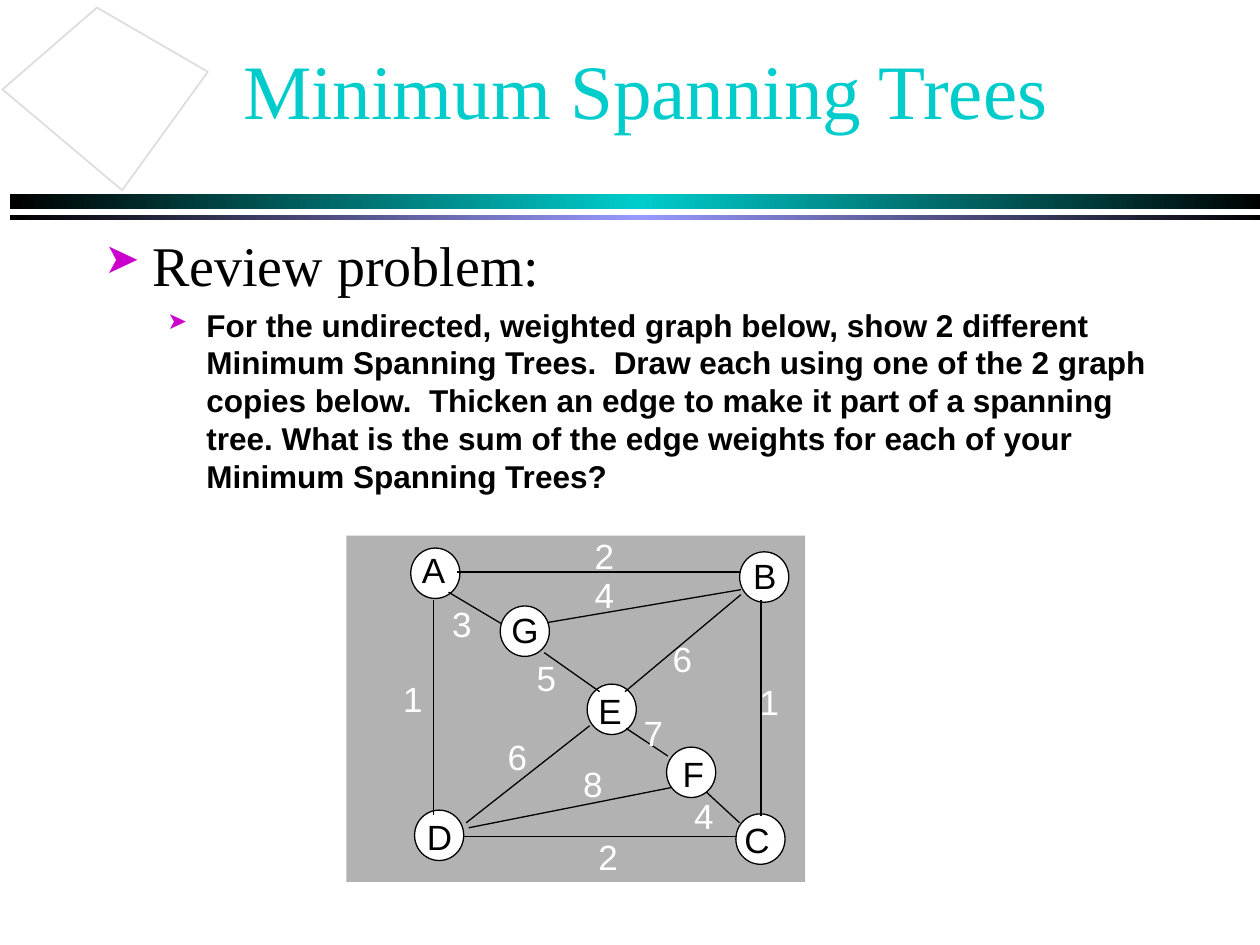
from copy import deepcopy

from lxml import etree
from pptx import Presentation
from pptx.dml.color import RGBColor
from pptx.enum.shapes import MSO_CONNECTOR, MSO_SHAPE
from pptx.enum.text import MSO_ANCHOR, PP_ALIGN
from pptx.oxml.ns import qn
from pptx.util import Inches, Pt

RECT = MSO_SHAPE.RECTANGLE
OVAL = MSO_SHAPE.OVAL
LINE = MSO_CONNECTOR.STRAIGHT
MIDDLE = MSO_ANCHOR.MIDDLE
LEFT = PP_ALIGN.LEFT

SERIF = "Times New Roman"
SANS = "Arial"
BLACK, WHITE, TEAL = "000000", "FFFFFF", "00CCCC"

BARS = [(1.54, 0.12, TEAL), (1.71, 0.04, "9999FF")]
KITE = [(0.97, 1.51), (0.02, 0.71), (0.77, 0.06), (1.65, 0.57)]
TASK = (
    "For the undirected, weighted graph below, show 2 different Minimum "
    "Spanning Trees.  Draw each using one of the 2 graph copies below.  "
    "Thicken an edge to make it part of a spanning tree. What is the sum "
    "of the edge weights for each of your Minimum Spanning Trees?"
)
NODES = [
    ("A", (3.26, 4.35), (3.25, 4.3)),
    ("B", (5.87, 4.38), (5.88, 4.35)),
    ("C", (5.84, 6.46), (5.81, 6.45)),
    ("D", (3.29, 6.43), (3.29, 6.42)),
    ("E", (4.66, 5.43), (4.65, 5.42)),
    ("F", (5.29, 5.93), (5.32, 5.92)),
    ("G", (3.97, 4.81), (3.96, 4.78)),
]
EDGES = [
    ("2", (3.63, 4.54), (5.88, 4.54), (4.62, 4.19)),
    ("1", (3.44, 4.76), (3.44, 6.47), (3.1, 5.33)),
    ("2", (3.68, 6.64), (5.85, 6.64), (4.65, 6.58)),
    ("1", (6.04, 4.76), (6.04, 6.48), (5.93, 5.35)),
    ("4", (5.88, 4.68), (4.35, 4.94), (4.62, 4.5)),
    ("6", (4.96, 5.49), (5.88, 4.72), (5.24, 5.01)),
    ("6", (3.7, 6.53), (4.68, 5.76), (3.93, 5.79)),
    ("8", (3.72, 6.57), (5.33, 6.25), (4.53, 6)),
    ("3", (3.56, 4.7), (3.98, 4.95), (3.49, 4.73)),
    ("5", (4.32, 5.18), (4.76, 5.49), (4.16, 5.16)),
    ("7", (4.97, 5.78), (5.3, 6), (5.01, 5.6)),
    ("4", (5.61, 6.29), (5.87, 6.53), (5.41, 6.26)),
]


def rgb(code):
    return RGBColor.from_string(code)


def inches(*nums):
    return [Inches(num) for num in nums]


def paint(shape, fill, line=None, width=0.75):
    shape.shadow.inherit = False
    shape.fill.solid()
    shape.fill.fore_color.rgb = rgb(fill)
    if line:
        shape.line.color.rgb = rgb(line)
        shape.line.width = Pt(width)
    else:
        shape.line.fill.background()


def add_shape(slide, kind, box, fill, line=None):
    shape = slide.shapes.add_shape(kind, *inches(*box))
    paint(shape, fill, line)
    return shape


def add_bar(slide, top, height, glow):
    bar = add_shape(slide, RECT, (0.08, top, 9.99, height), BLACK)
    bar.fill.gradient()
    bar.fill.gradient_angle = 0
    stops = bar._element.spPr.find(".//" + qn("a:gsLst"))
    stops.append(deepcopy(stops[-1]))
    for stop, pos, color in zip(bar.fill.gradient_stops, (0, 0.5, 1), (BLACK, glow, BLACK)):
        stop.position = pos
        stop.color.rgb = rgb(color)


def add_kite(slide):
    first, *rest = [inches(*point) for point in KITE]
    path = slide.shapes.build_freeform(*first)
    path.add_line_segments(rest, close=True)
    paint(path.convert_to_shape(), WHITE, "DDDDDD", 1)


def add_run(para, text, size, font, color, bold=False):
    run = para.add_run()
    run.text = text
    run.font.size = Pt(size)
    run.font.name = font
    run.font.bold = bold
    run.font.color.rgb = rgb(color)
    return run


def add_box(slide, *box):
    frame = slide.shapes.add_textbox(*inches(*box)).text_frame
    frame.word_wrap = True
    return frame


def add_label(slide, text, spot, size, color):
    frame = add_box(slide, *spot, *size)
    add_run(frame.paragraphs[0], text, 20, SANS, color)


def add_edge(slide, start, end):
    edge = slide.shapes.add_connector(LINE, *inches(*start, *end))
    edge.line.color.rgb = rgb(BLACK)
    edge.line.width = Pt(0.75)
    etree.SubElement(edge._element.spPr, qn("a:effectLst"))


def add_shade(run):
    effects = etree.Element(qn("a:effectLst"))
    shade = etree.SubElement(
        effects, qn("a:outerShdw"), dist="25400", dir="2700000", algn="ctr", rotWithShape="0"
    )
    etree.SubElement(shade, qn("a:srgbClr"), val=BLACK)
    run._r.rPr.find(qn("a:solidFill")).addnext(effects)


def set_title(slide):
    title = slide.shapes.title
    title.left, title.top, title.width, title.height = inches(1.83, 0.08, 8.5, 1.25)
    frame = title.text_frame
    frame.word_wrap = True
    frame.vertical_anchor = MIDDLE
    para = frame.paragraphs[0]
    para.alignment = LEFT
    add_shade(add_run(para, "Minimum Spanning Trees", 44, SERIF, TEAL))


def set_bullet(para, left, hang):
    props = para._p.get_or_add_pPr()
    props.set("marL", str(Inches(left)))
    props.set("indent", str(-Inches(hang)))
    tint = etree.SubElement(props, qn("a:buClr"))
    etree.SubElement(tint, qn("a:srgbClr"), val="CC00CC")
    etree.SubElement(props, qn("a:buSzPct"), val="75000")
    etree.SubElement(props, qn("a:buChar"), char="➤")


def add_body(slide):
    frame = add_box(slide, 0.73, 1.78, 8.5, 4.5)
    head = frame.paragraphs[0]
    set_bullet(head, 0.38, 0.38)
    add_run(head, "Review problem:", 32, SERIF, BLACK)
    task = frame.add_paragraph()
    task.level = 1
    set_bullet(task, 0.81, 0.31)
    task.space_before = Pt(4.5)
    add_run(task, TASK, 18, SANS, BLACK, True)


def add_graph(slide):
    for name, spot, text in NODES:
        add_shape(slide, OVAL, (*spot, 0.39, 0.4), WHITE, BLACK)
        add_label(slide, name, text, (0.57, 0.48), BLACK)
    for _, start, end, _ in EDGES:
        add_edge(slide, start, end)
    for weight, _, _, spot in EDGES:
        add_label(slide, weight, spot, (0.52, 0.42), WHITE)


def main():
    deck = Presentation()
    deck.slide_width, deck.slide_height = inches(10, 7.5)
    slide = deck.slides.add_slide(deck.slide_layouts[5])
    for bar in BARS:
        add_bar(slide, *bar)
    add_kite(slide)
    add_shape(slide, RECT, (2.75, 4.25, 3.64, 2.75), "B2B2B2")
    set_title(slide)
    add_body(slide)
    add_graph(slide)
    deck.save("out.pptx")


if __name__ == "__main__":
    main()
